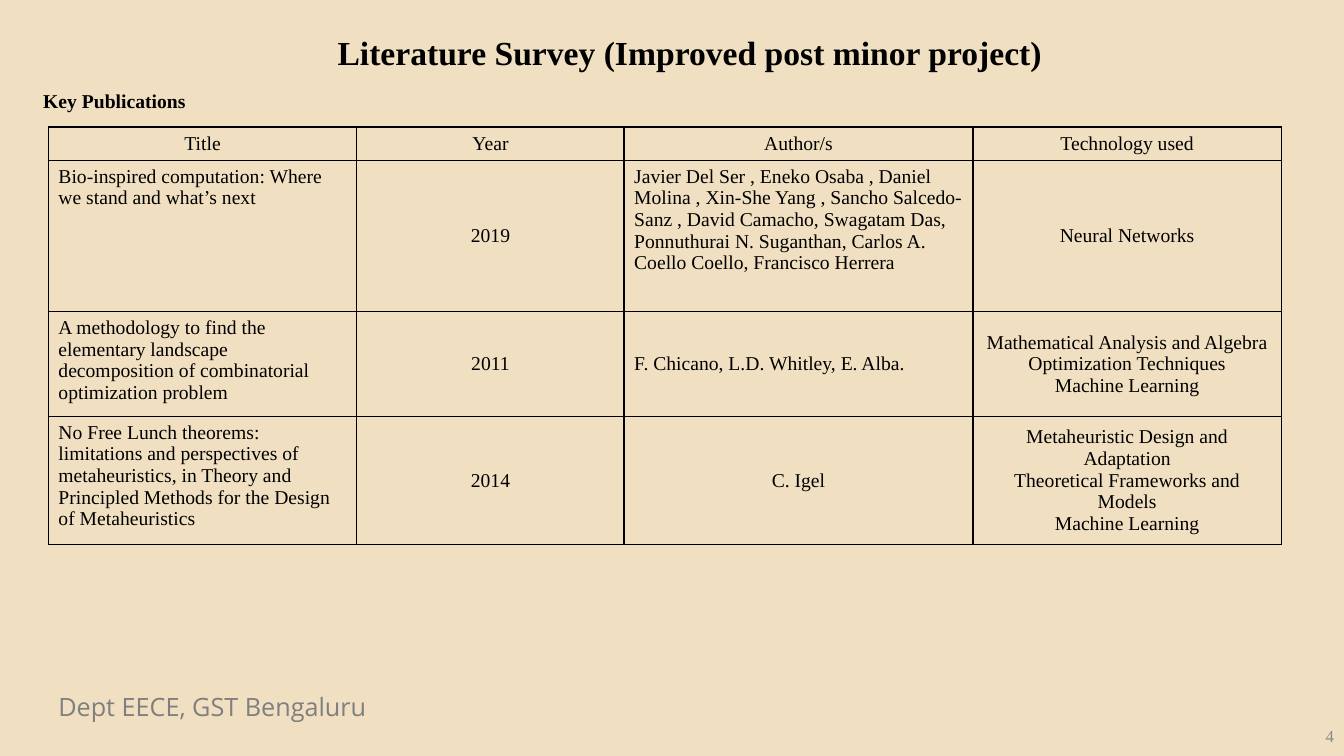
from dataclasses import dataclass

from lxml.etree import SubElement
from pptx import Presentation
from pptx.dml.color import RGBColor as RGB
from pptx.enum.text import MSO_ANCHOR as Anchor, PP_ALIGN as Align
from pptx.oxml.ns import qn
from pptx.util import Inches, Pt


@dataclass(frozen=True)
class Theme:
    background: RGB = RGB(0xF0, 0xE0, 0xC1)
    ink: RGB = RGB(0, 0, 0)
    footer: RGB = RGB(0x7F, 0x7F, 0x7F)
    number: RGB = RGB(0x88, 0x88, 0x88)
    serif: str = "Times New Roman"
    sans: str = "Open Sans"
    title_size: int = 24
    footer_size: int = 18
    body_size: int = 14
    number_size: int = 12
    border_width: int = Pt(1)


theme = Theme()


def write(frame, text, align=Align.LEFT, anchor=Anchor.TOP, **font_format):
    """Fill a text frame, one paragraph per line, in the body font unless told otherwise."""
    values = {"name": theme.serif, "size": theme.body_size, "bold": False, "color": theme.ink} | font_format
    color, size = values.pop("color"), values.pop("size")
    frame.word_wrap = True
    frame.vertical_anchor = anchor
    frame.text = text
    for paragraph in frame.paragraphs:
        paragraph.alignment = align
        font = paragraph.runs[0].font
        font.size = Pt(size)
        font.color.rgb = color
        for name, value in values.items():
            setattr(font, name, value)


def draw_borders(cell):
    properties = cell._tc.get_or_add_tcPr()
    for position, side in enumerate(("lnL", "lnR", "lnT", "lnB")):
        line = SubElement(properties, qn(f"a:{side}"), w=str(theme.border_width))
        fill = SubElement(line, qn("a:solidFill"))
        SubElement(fill, qn("a:srgbClr"), val=str(theme.ink))
        properties.insert(position, line)


presentation = Presentation()
presentation.slide_width, presentation.slide_height = Inches(13.33), Inches(7.5)
slide = presentation.slides.add_slide(presentation.slide_layouts[5])
slide.background.fill.solid()
slide.background.fill.fore_color.rgb = theme.background

# Title
title = slide.shapes.title
title.left, title.top, title.width, title.height = map(Inches, (1.09, 0.25, 11.5, 0.54))
write(title.text_frame, "Literature Survey (Improved post minor project)",
      Align.CENTER, Anchor.MIDDLE, size=theme.title_size, bold=True)

# Section heading, footer and page number
labels = [
    ((0.33, 0.83, 12.39, 0.4), "Key Publications", {"bold": True}),
    ((0.48, 6.81, 5.24, 0.4), "Dept EECE, GST Bengaluru",
     {"name": theme.sans, "size": theme.footer_size, "color": theme.footer}),
    ((10.33, 7.1, 3, 0.4), "4",
     {"align": Align.RIGHT, "anchor": Anchor.MIDDLE, "size": theme.number_size, "color": theme.number}),
]
for box, text, text_format in labels:
    shape = slide.shapes.add_textbox(*map(Inches, box))
    write(shape.text_frame, text, **text_format)

# Publications table
publications = [
    ("Title", "Year", "Author/s", "Technology used"),
    ("Bio-inspired computation: Where we stand and what’s next", "2019",
     "Javier Del Ser , Eneko Osaba , Daniel Molina , Xin-She Yang , Sancho Salcedo-Sanz , "
     "David Camacho, Swagatam Das, Ponnuthurai N. Suganthan, Carlos A. Coello Coello, Francisco Herrera",
     "Neural Networks"),
    ("A methodology to find the elementary landscape decomposition of combinatorial optimization problem",
     "2011", "F. Chicano, L.D. Whitley, E. Alba.",
     "Mathematical Analysis and Algebra\nOptimization Techniques\nMachine Learning"),
    ("No Free Lunch theorems: limitations and perspectives of metaheuristics, "
     "in Theory and Principled Methods for the Design of Metaheuristics", "2014", "C. Igel",
     "Metaheuristic Design and Adaptation\nTheoretical Frameworks and Models\nMachine Learning"),
]
column_widths = (3.06, 2.65, 3.46, 3.06)
row_heights = (0.33, 1.5, 1.04, 1.27)
left_aligned = {(1, 0), (2, 0), (3, 0), (1, 2), (2, 2)}
top_anchored = left_aligned - {(2, 2)}

table = slide.shapes.add_table(
    len(row_heights), len(column_widths), Inches(0.48), Inches(1.26),
    Inches(sum(column_widths)), Inches(sum(row_heights))).table
table.first_row = table.horz_banding = False
for column, width in zip(table.columns, column_widths):
    column.width = Inches(width)
for row_index, (row, height, texts) in enumerate(zip(table.rows, row_heights, publications)):
    row.height = Inches(height)
    for column_index, (cell, text) in enumerate(zip(row.cells, texts)):
        place = row_index, column_index
        write(cell.text_frame, text, Align.LEFT if place in left_aligned else Align.CENTER)
        cell.vertical_anchor = Anchor.TOP if place in top_anchored else Anchor.MIDDLE
        cell.fill.background()
        draw_borders(cell)

presentation.save("out.pptx")
